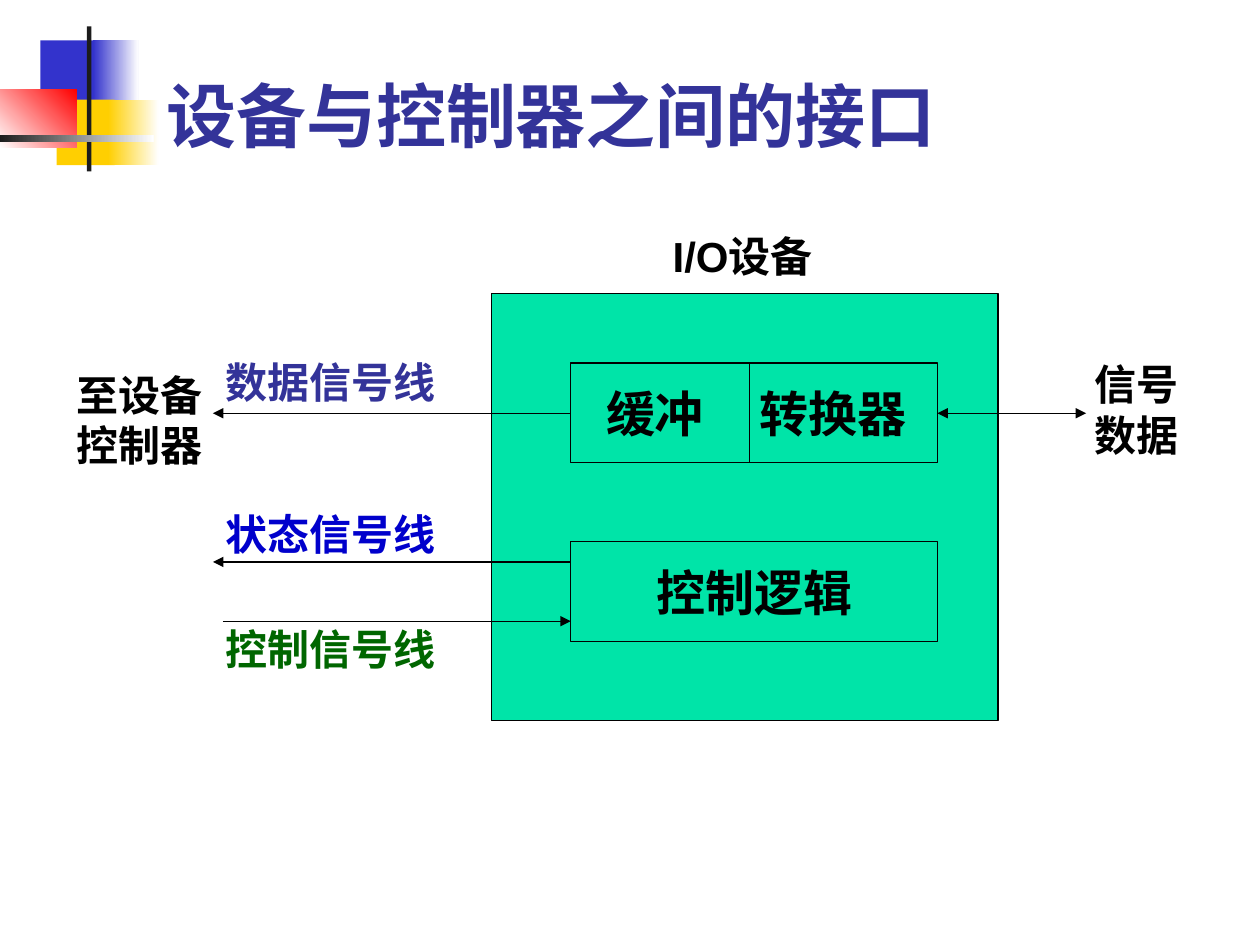
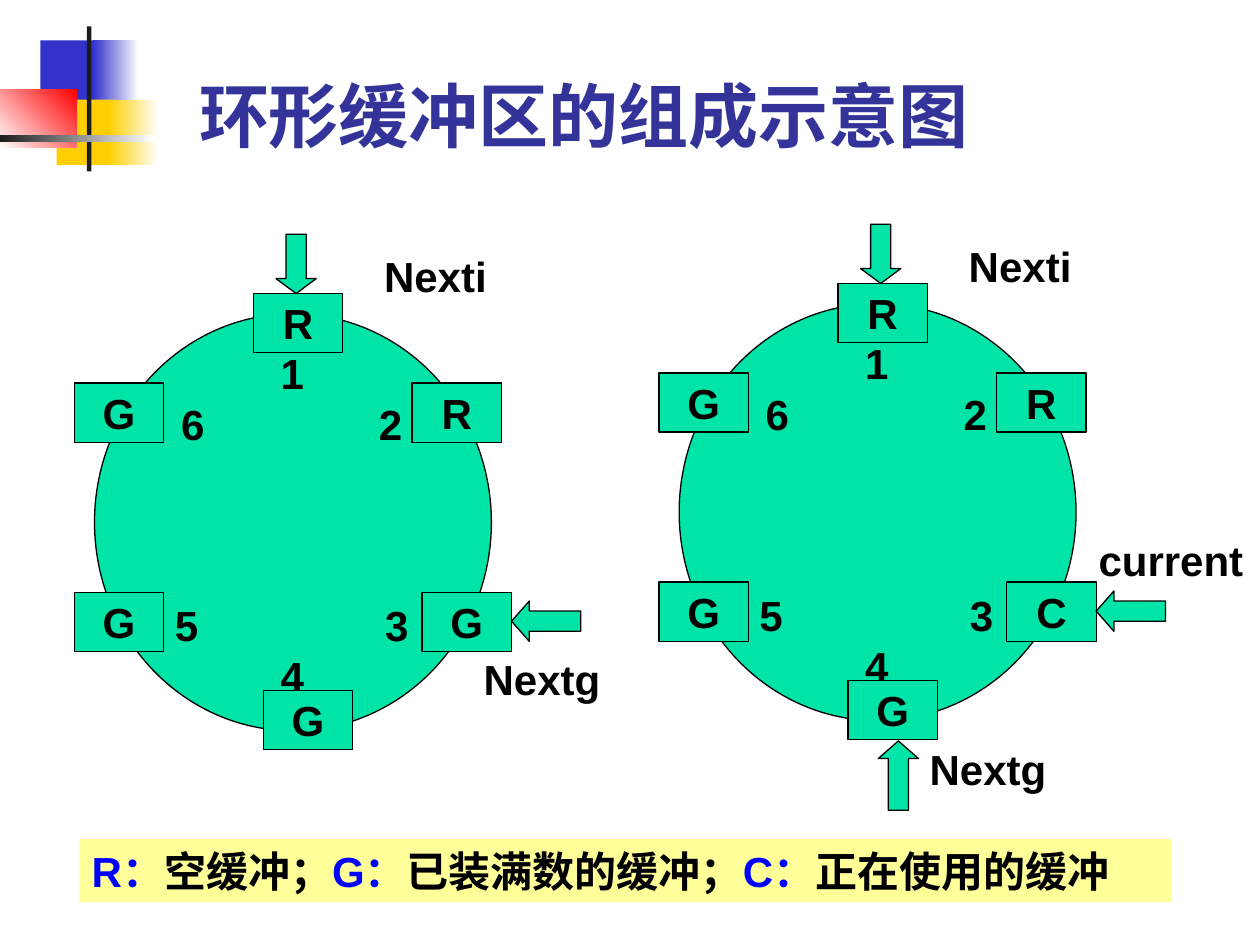
from pptx import Presentation
from pptx.util import Inches, Pt
from pptx.dml.color import RGBColor
from pptx.enum.shapes import MSO_SHAPE as Geo, MSO_CONNECTOR as Link
from pptx.enum.text import PP_ALIGN as Align, MSO_ANCHOR as Anchor, MSO_AUTO_SIZE as Fit
from pptx.oxml.ns import qn
from lxml.etree import SubElement

COLS, ROWS = 100, 75
BLACK, WHITE, GREEN = "000000", "FFFFFF", "00E4A8"
NAVY, BLUE, GOLD, RED, DARK = "333399", "3333CC", "FFCF01", "FF0000", "1C1C1C"
BODY, HEAD = "Arial", "Lato"
EDGE = 0.74


def tint(code):
    return RGBColor.from_string(code)


class Deck:
    def __init__(self):
        self.prs = Presentation()
        self.prs.slide_width = Inches(10)
        self.prs.slide_height = Inches(7.5)
        self.base = self.prs.slide_layouts[5]
        self.page = None

    def grid(self, x, y, w=0, h=0):
        wide, high = self.prs.slide_width, self.prs.slide_height
        return (round(x * wide / COLS), round(y * high / ROWS),
                round(w * wide / COLS), round(h * high / ROWS))

    def slide(self, text, x):
        first = self.page is None
        self.page = self.prs.slides.add_slide(self.base)
        if first:
            self.motif()
        head = self.page.shapes.title
        head.left, head.top, head.width, head.height = self.grid(x, 5.2, 85.2, 7.7)
        self.words(head, [(text, NAVY)], 40, Align.LEFT, Anchor.BOTTOM, True, HEAD)

    def motif(self):
        bands = [
            (3.2, 3.2, 4.8, 5.2, BLUE, None, 0),
            (7.4, 3.2, 3.6, 5.2, BLUE, WHITE, 0),
            (4.5, 7.9, 4.6, 5.2, GOLD, None, 0),
            (8.6, 7.9, 4, 5.2, GOLD, WHITE, 0),
            (0, 7.1, 6.1, 4.6, WHITE, RED, 45),
            (6.9, 2.1, 0.35, 11.5, DARK, None, 0),
            (0, 10.7, 12.2, 0.6, DARK, WHITE, 0),
        ]
        for i, (x, y, w, h, start, end, turn) in enumerate(bands):
            band = self.shape(Geo.RECTANGLE, x, y, w, h, start, None)
            if end:
                band.fill.gradient()
                band.fill.gradient_angle = turn
                for stop, code in zip(band.fill.gradient_stops, (start, end)):
                    stop.color.rgb = tint(code)
            node = band.element
            node.nvSpPr.cNvPr.set("id", str(COLS + i))
            self.base.shapes.element.insert(2 + i, node)

    def words(self, shape, runs, size=24, align=Align.LEFT, anchor=Anchor.TOP,
              wrap=True, font=BODY):
        frame = shape.text_frame
        frame.auto_size = Fit.NONE
        frame.word_wrap = wrap
        frame.vertical_anchor = anchor
        para = frame.paragraphs[0]
        para.alignment = align
        for text, code in runs:
            run = para.add_run()
            run.text = text
            run.font.size, run.font.bold, run.font.name = Pt(size), True, font
            run.font.color.rgb = tint(code)

    def shape(self, geo, x, y, w, h, fill=GREEN, line=BLACK):
        item = self.page.shapes.add_shape(geo, *self.grid(x, y, w, h))
        item.shadow.inherit = False
        item.fill.solid()
        item.fill.fore_color.rgb = tint(fill)
        if line:
            item.line.color.rgb = tint(line)
            item.line.width = Pt(EDGE)
        else:
            item.line.fill.background()
        return item

    def box(self, text, x, y, w, h, size=24):
        item = self.shape(Geo.RECTANGLE, x, y, w, h)
        self.words(item, [(text, BLACK)], size, Align.CENTER, Anchor.MIDDLE, False)

    def split(self, texts, x, y, w, h, cut, inset, stop):
        item = self.shape(Geo.RECTANGLE, x, y, w, h)
        self.words(item, [("\t".join(texts), BLACK)], 28, anchor=Anchor.MIDDLE)
        item.text_frame.margin_left = self.grid(inset, 0)[0]
        props = item.text_frame.paragraphs[0]._p.get_or_add_pPr()
        tabs = SubElement(props, qn("a:tabLst"))
        SubElement(tabs, qn("a:tab"), pos=str(self.grid(stop, 0)[0]), algn="l")
        self.line(cut, y, cut, y + h)

    def arrow(self, geo, x, y, w, h, tip):
        item = self.shape(geo, x, y, w, h)
        item.adjustments[0], item.adjustments[1] = 0.5, tip

    def label(self, text, x, y, w, h=5, code=BLACK, align=Align.LEFT):
        item = self.page.shapes.add_textbox(*self.grid(x, y, w, h))
        self.words(item, [(text, code)], align=align)

    def line(self, x1, y1, x2, y2, ends=()):
        start, stop = self.grid(x1, y1)[:2], self.grid(x2, y2)[:2]
        item = self.page.shapes.add_connector(Link.STRAIGHT, *start, *stop)
        item.line.color.rgb = tint(BLACK)
        item.line.width = Pt(EDGE)
        for end in ends:
            SubElement(item.line._get_or_add_ln(), qn("a:" + end), type="triangle")
        SubElement(item.element.spPr, qn("a:effectLst"))

    def ring(self, x, y, marks):
        self.shape(Geo.OVAL, x, y, 31.5, 33.1)
        spots = [(15.7, 4.7), (23.5, 8.75), (24, 24.7),
                 (15.7, 28.75), (7.3, 24.7), (7.8, 8.75)]
        for i, (cx, cy) in enumerate(spots, 1):
            self.label(str(i), x + cx - 2, y + cy - 2.5, 4, align=Align.CENTER)
        seats = [(12.6, -1.6), (25.2, 5.5), (26, 22.1),
                 (13.4, 29.9), (-1.6, 22.1), (-1.6, 5.5)]
        for mark, (dx, dy) in zip(marks, seats):
            self.box(mark, x + dx, y + dy, 7.1, 4.7)
        self.arrow(Geo.DOWN_ARROW, x + 14.4, y - 6.3, 3.2, 4.7, 0.37)
        self.arrow(Geo.LEFT_ARROW, x + 33.1, y + 22.8, 5.5, 3.2, 0.44)
        self.label("Nexti", x + 22, y - 5.5, 11)

    def legend(self, pairs, x, y, w, h):
        item = self.shape(Geo.RECTANGLE, x, y, w, h, "FFFF99", None)
        runs = []
        for key, text in pairs:
            runs += [(key + "：", "0000FF"), (text, BLACK)]
        self.words(item, runs, wrap=False)


deck = Deck()

deck.slide("设备与控制器之间的接口", 12.2)
deck.shape(Geo.RECTANGLE, 39, 23.3, 40.2, 33.9)
left, wide, high = 45.3, 29.1, 7.9
right = left + wide
deck.split(("缓冲", "转换器"), left, 28.8, wide, high, 59.5, 2.8, 12.2)
deck.box("控制逻辑", left, 43, wide, high, 28)
for y in (32.8, 44.6):
    deck.line(left, y, 16.9, y, ["tailEnd"])
deck.line(17.7, 49.3, left, 49.3, ["tailEnd"])
deck.line(right, 32.8, 86.2, 32.8, ["headEnd", "tailEnd"])
for text, y, code in (("数据信号线", 27.8, NAVY), ("状态信号线", 39.9, "0000CC"),
                      ("控制信号线", 49, "006600")):
    deck.label(text, 16.9, y, 21.2, code=code)
deck.label("至设备控制器", 5.1, 28.8, 14.2, 9)
deck.label("信号数据", 85.9, 28, 11.4, 9)
deck.label("I/O设备", 52.4, 17.8, 21.3)

deck.slide("环形缓冲区的组成示意图", 14.8)
deck.ring(7.5, 24.9, "RRGGGG")
deck.label("Nextg", 37.4, 51.4, 14.2)
deck.ring(53.9, 24.1, "RRCGGG")
deck.label("Nextg", 72.8, 58.5, 12.6)
deck.arrow(Geo.UP_ARROW, 69.7, 58.8, 3.2, 5.5, 0.44)
deck.label("current", 86.2, 41.9, 13.8)
deck.legend([("R", "空缓冲；"), ("G", "已装满数的缓冲；"), ("C", "正在使用的缓冲")],
            6.3, 66.6, 86.7, 5)

deck.prs.save("out.pptx")
